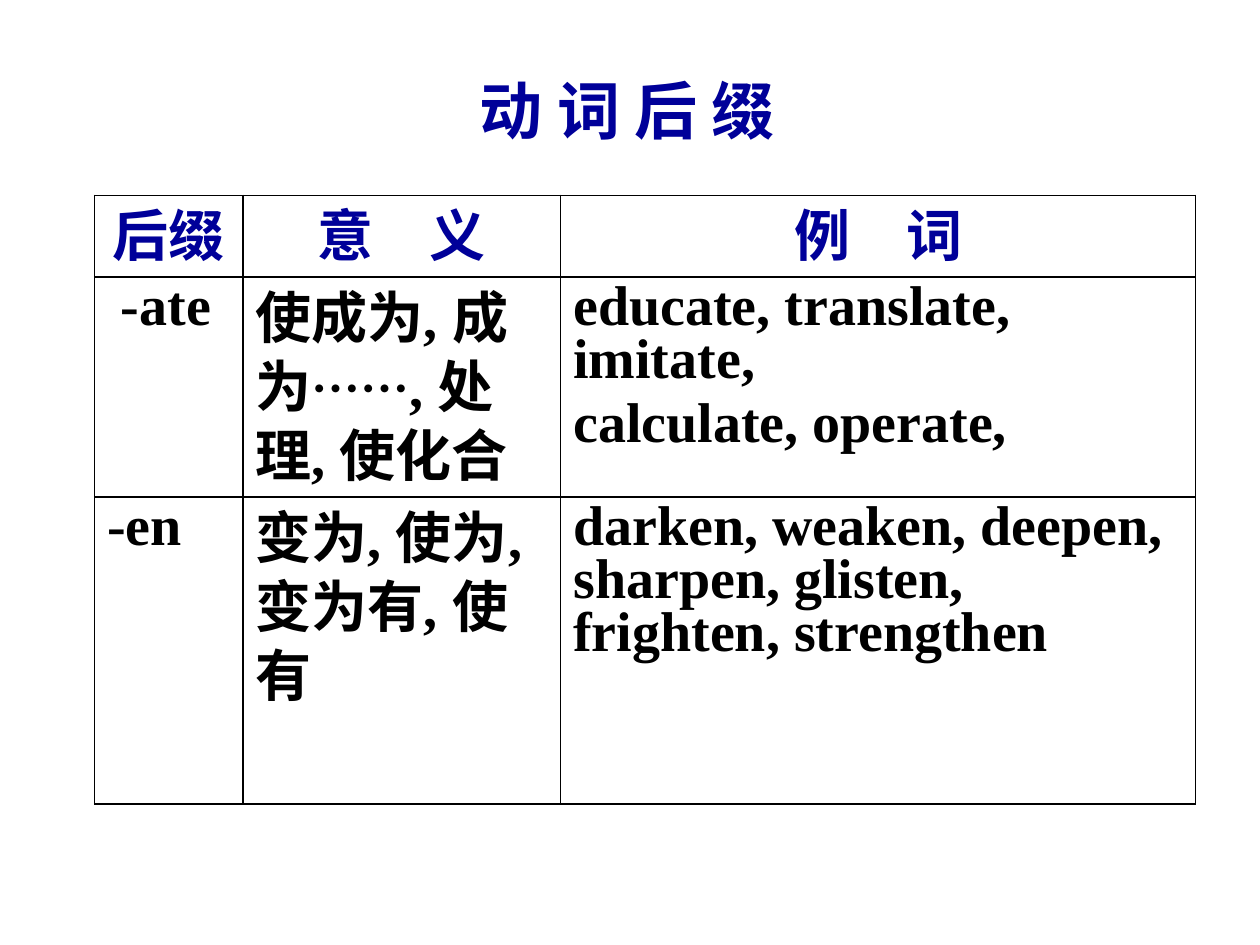
from pptx import Presentation
from pptx.dml.color import RGBColor
from pptx.enum import text
from pptx.oxml import parse_xml
from pptx.oxml.ns import nsdecls
from pptx.util import Inches, Pt

NAVY = RGBColor(0x00, 0x00, 0x99)
BLACK = RGBColor(0x00, 0x00, 0x00)
SERIF = "Times New Roman"
SANS = "Noto Sans CJK SC"
ELLIPSIS = "……"

COLUMN_WIDTHS = (1.18, 2.52, 5.04)
ROW_HEIGHTS = (0.55, 1.57, 2.44)
# Each cell is a list of paragraphs, each paragraph a list of spans.
ROWS = (
    ([["后缀"]], [["意　义"]], [["例　词"]]),
    ([["-ate"]],
     [["使成为, 成为", ELLIPSIS, ", 处理, 使化合"]],
     [["educate, translate, imitate,"], ["calculate, operate,"]]),
    ([["-en"]],
     [["变为, 使为, 变为有, 使有"]],
     [["darken, weaken, deepen, sharpen, glisten, frighten, strengthen"]]),
)


def format_span(span, size, name, color):
    """Set the Latin font by name; Chinese text is always sans."""
    span.font.size = Pt(size)
    span.font.bold = True
    span.font.name = name
    span.font.color.rgb = color
    span.font._element.append(
        parse_xml(f'<a:ea {nsdecls("a")} typeface="{SANS}"/>'))


def add_title(page, left, top, width, height):
    title = page.shapes.title
    title.left, title.top, title.width, title.height = left, top, width, height
    frame = title.text_frame
    frame.text = "动 词 后 缀"
    frame.word_wrap = False
    frame.auto_size = text.MSO_AUTO_SIZE.NONE
    frame.vertical_anchor = text.MSO_ANCHOR.MIDDLE
    para = frame.paragraphs[0]
    para.alignment = text.PP_ALIGN.CENTER
    format_span(para.runs[0], 36, SANS, NAVY)


def draw_borders(cell):
    properties = cell._tc.get_or_add_tcPr()
    for position, side in enumerate(("lnL", "lnR", "lnT", "lnB")):
        properties.insert(position, parse_xml(
            f'<a:{side} {nsdecls("a")} w="{Pt(1)}"><a:solidFill>'
            f'<a:srgbClr val="{BLACK}"/></a:solidFill></a:{side}>'))


def fill_cell(cell, paragraphs, is_header):
    cell.fill.background()
    draw_borders(cell)
    if is_header:
        cell.vertical_anchor = text.MSO_ANCHOR.MIDDLE
    frame = cell.text_frame
    for number, spans in enumerate(paragraphs):
        para = frame.add_paragraph() if number else frame.paragraphs[0]
        para.line_spacing = 0.85
        # Commas stay inside the cell instead of hanging over its edge.
        para._p.get_or_add_pPr().set("hangingPunct", "0")
        if number:
            para.space_before = Pt(6.4)
        if is_header:
            para.alignment = text.PP_ALIGN.CENTER
        for words in spans:
            span = para.add_run()
            span.text = words
            size, name = (28, SANS) if words == ELLIPSIS else (32, SERIF)
            format_span(span, size, name, NAVY if is_header else BLACK)


def add_suffix_table(page, left, top, width, height):
    table = page.shapes.add_table(
        len(ROWS), len(COLUMN_WIDTHS), left, top, width, height).table
    table.first_row = table.horz_banding = False
    for column, size in zip(table.columns, COLUMN_WIDTHS):
        column.width = Inches(size)
    for row, size in zip(table.rows, ROW_HEIGHTS):
        row.height = Inches(size)
    for row_number, contents in enumerate(ROWS):
        for column_number, paragraphs in enumerate(contents):
            fill_cell(table.cell(row_number, column_number), paragraphs,
                      is_header=row_number == 0)
    # The first suffix is set in slightly from the cell edge.
    table.cell(1, 0).margin_left = Inches(0.21)


def main():
    deck = Presentation()
    deck.slide_width, deck.slide_height = Inches(10), Inches(7.5)
    page = deck.slides.add_slide(deck.slide_layouts.get_by_name("Title Only"))
    add_title(page, Inches(3.5), Inches(0.52), Inches(2.96), Inches(0.7))
    add_suffix_table(page, Inches(0.75), Inches(1.55),
                     Inches(sum(COLUMN_WIDTHS)), Inches(sum(ROW_HEIGHTS)))
    deck.save("out.pptx")


if __name__ == "__main__":
    main()
